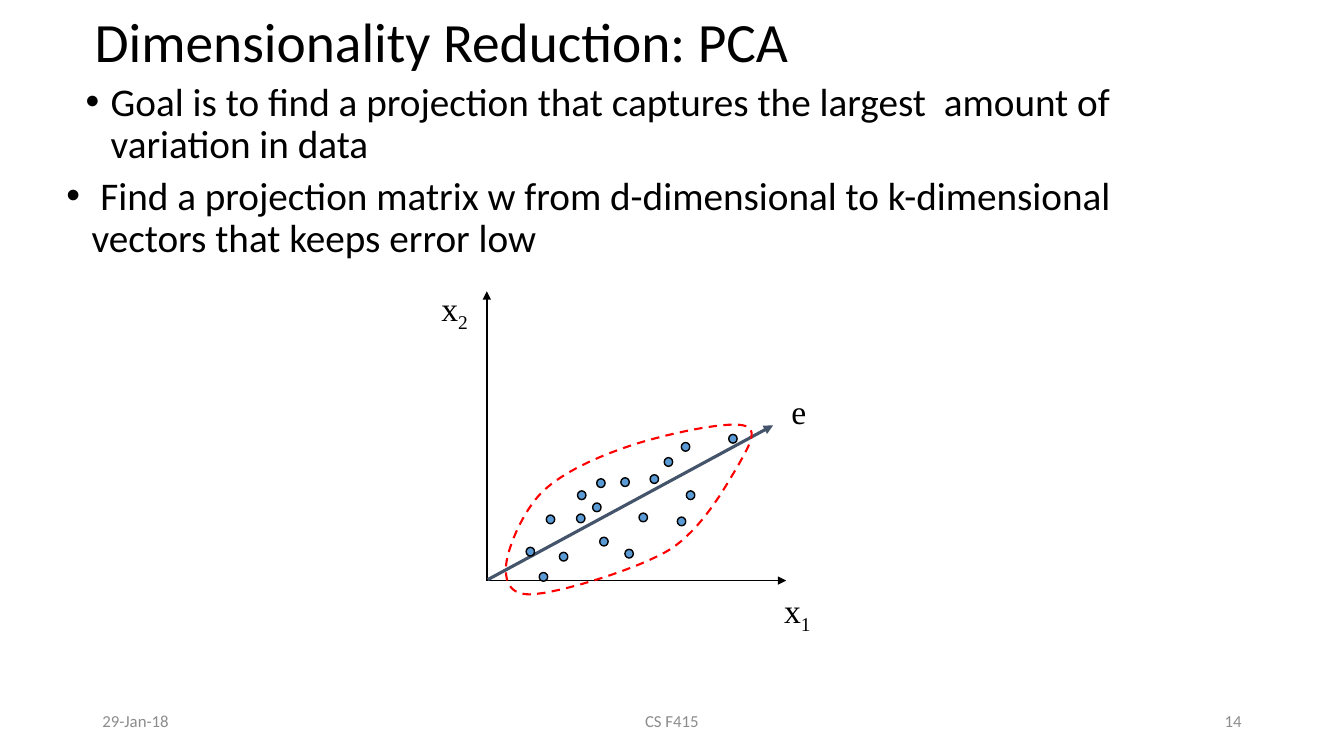
from dataclasses import dataclass

from pptx import Presentation
from pptx.dml.color import RGBColor
from pptx.enum.dml import MSO_LINE as Dash
from pptx.enum.shapes import MSO_CONNECTOR as Connector, MSO_SHAPE as Preset
from pptx.enum.text import MSO_ANCHOR as Anchor, PP_ALIGN as Align
from pptx.oxml.ns import qn
from pptx.util import Inches, Pt
from lxml.etree import SubElement

COLUMNS, ROWS = 80, 45
CELL = Inches(1) / 6


@dataclass(frozen=True)
class Theme:
    ink: str = "000000"
    muted: str = "8C8C8C"
    vector: str = "44546A"
    dot: str = "5B9BD5"
    outline: str = "FF0000"
    sans: str = "Calibri"
    serif: str = "Times New Roman"
    title_size: float = 39.6
    body_size: float = 28
    label_size: float = 24
    footer_size: float = 12
    subscript: str = "-25000"


def cells(count):
    return round(count * CELL)


def rgb(code):
    return RGBColor.from_string(code)


def bezier(start, first, second, end, steps=16):
    for step in range(1, steps + 1):
        t = step / steps
        weights = ((1 - t) ** 3, 3 * t * (1 - t) ** 2, 3 * t * t * (1 - t), t ** 3)
        yield tuple(
            cells(sum(weight * value for weight, value in zip(weights, axis)))
            for axis in zip(start, first, second, end)
        )


class SlideBuilder:
    def __init__(self, page, theme):
        self.page = page
        self.theme = theme

    def text(self, area, runs, size, color=None, font=None,
             align=Align.LEFT, anchor=Anchor.MIDDLE, wrap=True, spacing=None):
        box = self.page.shapes.add_textbox(*map(cells, area))
        frame = box.text_frame
        frame.word_wrap = wrap
        frame.vertical_anchor = anchor
        para = frame.paragraphs[0]
        para.alignment = align
        if spacing:
            para.line_spacing = spacing
        for content, is_subscript in runs:
            span = para.add_run()
            span.text = content
            span.font.size = Pt(size)
            span.font.name = font or self.theme.sans
            span.font.color.rgb = rgb(color or self.theme.ink)
            if is_subscript:
                span.font._element.set("baseline", self.theme.subscript)
        return para

    def title(self, area, content):
        self.text(area, [(content, False)], self.theme.title_size, spacing=0.9)

    def bullet(self, area, content):
        para = self.text(area, [(content, False)], self.theme.body_size,
                         anchor=Anchor.TOP, spacing=0.9)
        properties = para._p.get_or_add_pPr()
        properties.set("marL", str(Inches(0.25)))
        properties.set("indent", str(-Inches(0.25)))
        SubElement(properties, qn("a:buFont")).set("typeface", "Arial")
        SubElement(properties, qn("a:buChar")).set("char", "•")

    def label(self, area, letter, subscript=""):
        runs = [(letter, False)]
        if subscript:
            runs.append((subscript, True))
        self.text(area, runs, self.theme.label_size, font=self.theme.serif,
                  align=Align.CENTER, wrap=False)

    def footer(self, column, width, content, align):
        self.text((column, 41.7, width, 2.4), [(content, False)],
                  self.theme.footer_size, self.theme.muted, align=align)

    def arrow(self, start, end, color, weight):
        connector = self.page.shapes.add_connector(
            Connector.STRAIGHT, *map(cells, (*start, *end)))
        connector.line.color.rgb = rgb(color)
        connector.line.width = Pt(weight)
        SubElement(connector.line._get_or_add_ln(), qn("a:tailEnd")).set("type", "triangle")
        SubElement(connector._element.spPr, qn("a:effectLst"))

    def dot(self, center, width=0.5, height=0.52):
        column, row = center
        area = (column - width / 2, row - height / 2, width, height)
        shape = self.page.shapes.add_shape(Preset.OVAL, *map(cells, area))
        shape.shadow.inherit = False
        shape.fill.solid()
        shape.fill.fore_color.rgb = rgb(self.theme.dot)
        shape.line.color.rgb = rgb(self.theme.ink)
        shape.line.width = Pt(1)

    def dashed_outline(self, start, curves):
        builder = self.page.shapes.build_freeform(*map(cells, start))
        for first, second, end in curves:
            builder.add_line_segments(bezier(start, first, second, end), close=False)
            start = end
        builder.add_line_segments([], close=True)
        shape = builder.convert_to_shape()
        shape.shadow.inherit = False
        shape.fill.background()
        shape.line.color.rgb = rgb(self.theme.outline)
        shape.line.width = Pt(1.5)
        shape.line.dash_style = Dash.DASH


ORIGIN = (28.98, 34.56)
SAMPLES = [
    (32.77, 30.92), (34.63, 29.48), (31.57, 32.84), (35.53, 30.2), (34.57, 30.86),
    (38.29, 30.8), (37.45, 32.96), (35.95, 32.24), (37.21, 28.7), (41.11, 29.48),
    (43.63, 26.12), (33.55, 33.14), (38.95, 28.52), (40.81, 26.6), (35.77, 28.76),
    (39.79, 27.5), (40.57, 31.04), (32.35, 34.34),
]
CLOUD_START = (30.12, 33.72)
CLOUD_CURVES = [
    ((30.18, 32.7), (31.08, 30.48), (32.28, 29.28)),
    ((33.54, 28.08), (35.58, 27.18), (37.56, 26.52)),
    ((39.54, 25.86), (43.14, 25.08), (44.22, 25.32)),
    ((45.24, 25.5), (44.58, 26.58), (43.86, 27.84)),
    ((43.14, 29.04), (41.82, 31.44), (39.9, 32.7)),
    ((37.92, 33.9), (33.66, 35.16), (32.04, 35.34)),
    ((30.42, 35.58), (30.06, 34.74), CLOUD_START),
]


def main():
    deck = Presentation()
    deck.slide_width, deck.slide_height = cells(COLUMNS), cells(ROWS)
    theme = Theme()
    slide = SlideBuilder(deck.slides.add_slide(deck.slide_layouts[6]), theme)

    slide.title((5.04, 0.66, 69, 3.96), "Dimensionality Reduction: PCA")
    slide.bullet((4.5, 4.62, 70, 5.58),
                 "Goal is to find a projection that captures the largest  amount of variation in data")
    slide.bullet((3.36, 10.2, 69.84, 8.22),
                 " Find a projection matrix w from d-dimensional to k-dimensional "
                 "vectors that keeps error low")

    slide.arrow(ORIGIN, (ORIGIN[0], 17.34), theme.ink, 1)
    slide.arrow(ORIGIN, (46.8, ORIGIN[1]), theme.ink, 1)
    slide.arrow((29.04, 34.5), (46.02, 25.32), theme.vector, 2.25)
    for sample in SAMPLES:
        slide.dot(sample)
    slide.dashed_outline(CLOUD_START, CLOUD_CURVES)

    slide.label((25.62, 16.98, 2.88, 3), "x", "2")
    slide.label((46.02, 34.98, 2.88, 3), "x", "1")
    slide.label((46.5, 22.98, 2.1, 3), "e")

    slide.footer(5.5, 18, "29-Jan-18", Align.LEFT)
    slide.footer(26.5, 27, "CS F415", Align.CENTER)
    slide.footer(56.5, 18, "14", Align.RIGHT)

    deck.save("out.pptx")


if __name__ == "__main__":
    main()
